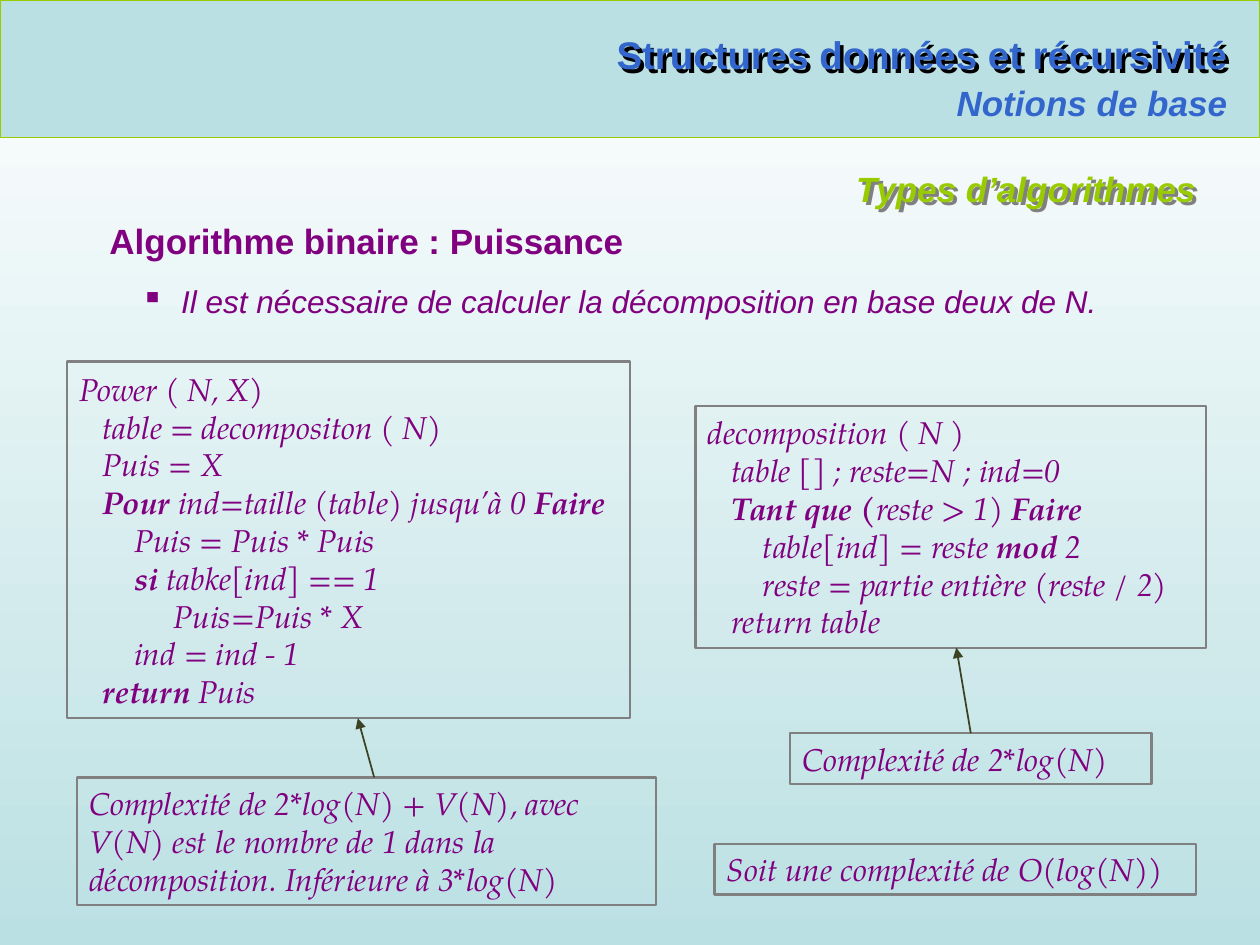
from lxml import etree
from pptx import Presentation
from pptx.dml.color import RGBColor
from pptx.enum import shapes, text
from pptx.oxml import ns
from pptx.util import Inches, Pt

COLORS = {
    "white": "FFFFFF",
    "aqua": "BBE0E3",
    "lime": "99CC00",
    "blue": "3366CC",
    "purple": "800080",
    "gray": "808080",
    "arrow": "3B4323",
    "black": "000000",
}
POWER_CODE = [
    "Power ( N, X)",
    "   table = decompositon ( N)",
    "   Puis = X",
    "   **Pour **ind=taille (table) jusqu’à 0 **Faire**",
    "       Puis = Puis * Puis",
    "       **si **tabke[ind] == 1",
    "            Puis=Puis * X",
    "       ind = ind - 1",
    "   **return **Puis",
]
DECOMPOSITION_CODE = [
    "decomposition ( N )",
    "   table [] ; reste=N ; ind=0",
    "   **Tant que (**reste > 1) **Faire**",
    "       table[ind] = reste **mod** 2",
    "       reste = partie entière (reste / 2)",
    "   return table",
]
POWER_COST = (
    "Complexité de 2*log(N) + V(N), avec V(N) est le nombre de 1 "
    "dans la décomposition. Inférieure à 3*log(N)"
)


def color(name):
    return RGBColor.from_string(COLORS[name])


def add_effects(shape, shadow=None):
    properties = shape._element.spPr
    effects = etree.SubElement(properties, ns.qn("a:effectLst"))
    if shadow:
        outer = etree.SubElement(effects, ns.qn("a:outerShdw"), dist="35921", dir="2700000")
        etree.SubElement(outer, ns.qn("a:srgbClr"), val=COLORS[shadow])


def style_font(paragraph, name, size, color_name, bold=None, italic=None):
    font = paragraph.font
    font.name, font.size = name, Pt(size)
    font.bold, font.italic = bold, italic
    font.color.rgb = color(color_name)


def add_rectangle(slide, box, line, width):
    shape = slide.shapes.add_shape(shapes.MSO_SHAPE.RECTANGLE, *map(Inches, box))
    shape.shadow.inherit = False
    shape.fill.background()
    shape.line.color.rgb = color(line)
    shape.line.width = Pt(width)
    return shape


def add_line(slide, start, end, line, width, arrow=False):
    connector = slide.shapes.add_connector(
        shapes.MSO_CONNECTOR.STRAIGHT, *map(Inches, start + end)
    )
    connector.line.color.rgb = color(line)
    connector.line.width = Pt(width)
    if arrow:
        etree.SubElement(connector.line._get_or_add_ln(), ns.qn("a:tailEnd"), type="triangle")
    add_effects(connector)
    return connector


def add_title(slide, box, title, size, color_name, italic=False, wrap=False, shadow=None):
    shape = slide.shapes.add_textbox(*map(Inches, box))
    shape.text_frame.word_wrap = wrap
    paragraph = shape.text_frame.paragraphs[0]
    paragraph.text = title
    paragraph.alignment = text.PP_ALIGN.RIGHT
    style_font(paragraph, "Arial", size, color_name, True, italic)
    if shadow:
        add_effects(shape, shadow)


def add_header(slide, box):
    left, top, width, height = box
    band = add_rectangle(slide, box, "lime", 0.75)
    band.fill.solid()
    band.fill.fore_color.rgb = color("aqua")
    right = left + width - 0.16
    add_title(slide, (right - 5.17, top + 0.2, 5.17, 0.47),
              "Structures données et récursivité", 22, "blue", shadow="black")
    add_title(slide, (right - 2.44, top + 0.6, 2.44, 0.44),
              "Notions de base", 20, "blue", italic=True)
    bottom = top + height
    add_line(slide, (left + 0.34, bottom), (left + width - 0.24, bottom), "lime", 0.75)


def add_introduction(slide, box):
    shape = slide.shapes.add_textbox(*map(Inches, box))
    frame = shape.text_frame
    frame.word_wrap = True
    heading = frame.paragraphs[0]
    heading.text = "Algorithme binaire : Puissance"
    point = frame.add_paragraph()
    point.text = " Il est nécessaire de calculer la décomposition en base deux de N."
    point.level = 1
    for paragraph in (heading, point):
        paragraph.alignment = text.PP_ALIGN.JUSTIFY
        paragraph.space_after = Pt(12)
    properties = point._p.get_or_add_pPr()
    properties.set("marL", str(Inches(0.5)))
    properties.set("indent", str(Inches(-0.25)))
    etree.SubElement(properties, ns.qn("a:buChar"), char="▪")
    style_font(heading, "Arial", 20, "purple", bold=True)
    style_font(point, "Arial", 18, "purple", italic=True)


def add_panel(slide, box, lines):
    shape = add_rectangle(slide, box, "gray", 1.25)
    frame = shape.text_frame
    frame.word_wrap = True
    frame.vertical_anchor = text.MSO_ANCHOR.MIDDLE
    for index, line in enumerate(lines):
        paragraph = frame.add_paragraph() if index else frame.paragraphs[0]
        paragraph.alignment = text.PP_ALIGN.LEFT
        style_font(paragraph, "TeX Gyre Pagella", 18, "purple", italic=True)
        for position, part in enumerate(line.split("**")):
            if part:
                run = paragraph.add_run()
                run.text = part
                if position % 2:
                    run.font.bold = True
    return shape


def add_power(slide, left, top):
    add_panel(slide, (left, top, 4.47, 2.83), POWER_CODE)
    add_panel(slide, (left + 0.08, top + 3.3, 4.6, 1.01), [POWER_COST])
    add_line(slide, (left + 2.44, top + 3.3), (left + 2.31, top + 2.83), "arrow", 1, True)


def add_decomposition(slide, left, top):
    add_panel(slide, (left, top, 4.05, 1.92), DECOMPOSITION_CODE)
    cost = add_panel(slide, (left + 0.75, top + 2.6, 2.87, 0.4), ["Complexité de 2*log(N)"])
    add_panel(slide, (left + 0.15, top + 3.48, 3.82, 0.4), ["Soit une complexité de O(log(N))"])
    arrow = add_line(slide, (left + 2.18, top + 2.6), (left + 2.07, top + 1.92), "arrow", 1, True)
    arrow.begin_connect(cost, 0)


def set_background(slide):
    fill = slide.background.fill
    fill.gradient()
    fill.gradient_angle = 270
    for stop, name in zip(fill.gradient_stops, ("white", "aqua")):
        stop.color.rgb = color(name)


def main():
    presentation = Presentation()
    presentation.slide_width, presentation.slide_height = Inches(10), Inches(7.5)
    slide = presentation.slides.add_slide(presentation.slide_layouts[6])
    set_background(slide)
    add_header(slide, (0, 0, 10, 1.09))
    add_title(slide, (5.39, 1.28, 4.2, 0.43), "Types d’algorithmes", 20, "lime",
              italic=True, wrap=True, shadow="gray")
    add_introduction(slide, (0.77, 1.69, 8.9, 0.91))
    add_power(slide, 0.53, 2.87)
    add_decomposition(slide, 5.52, 3.22)
    presentation.save("out.pptx")


if __name__ == "__main__":
    main()
